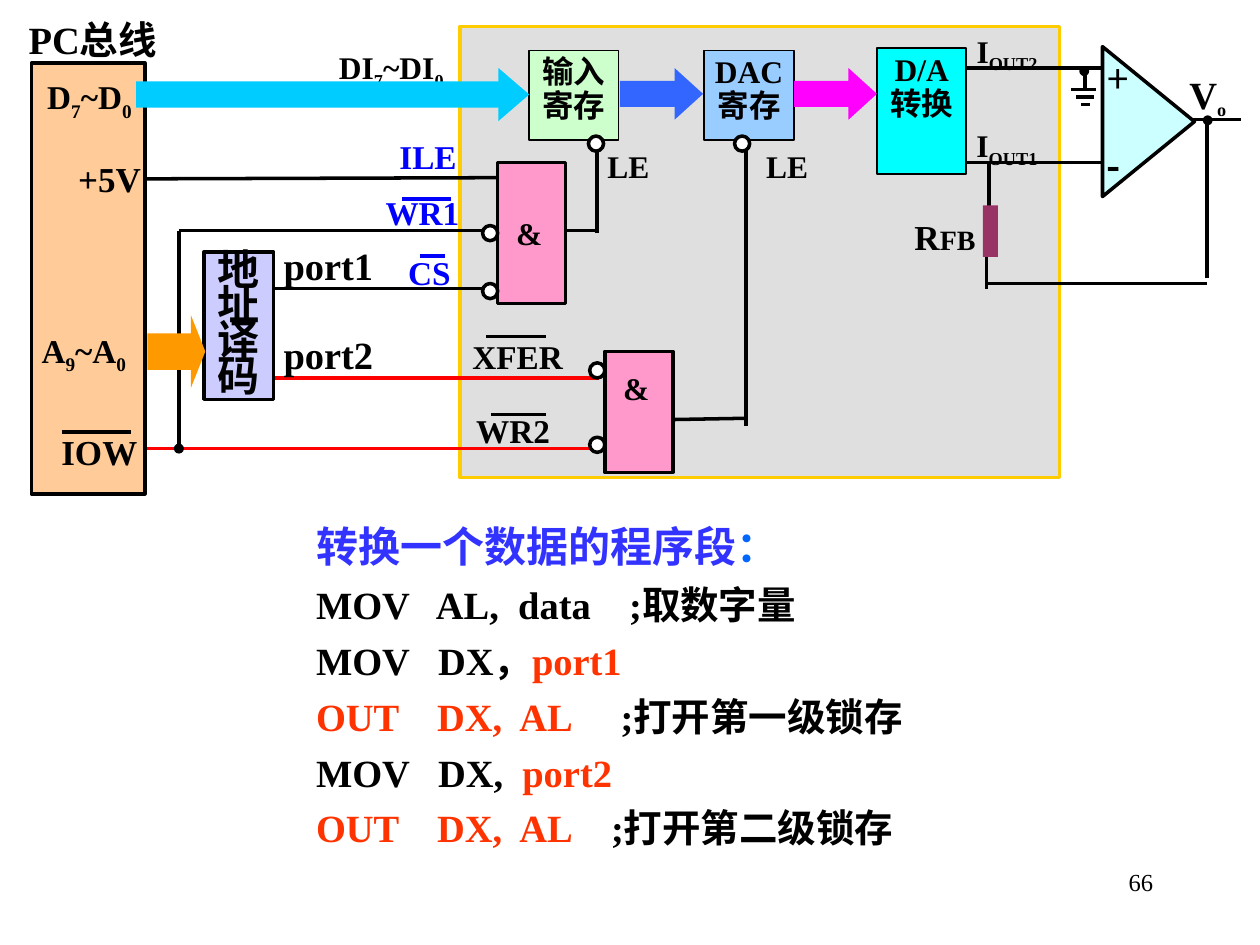
from dataclasses import dataclass
from typing import NamedTuple

from lxml.etree import SubElement
from pptx import Presentation
from pptx.dml.color import RGBColor as RGB
from pptx.enum.shapes import MSO_CONNECTOR as Link, MSO_SHAPE as Kind
from pptx.enum.text import MSO_ANCHOR as Anchor, PP_ALIGN as Align
from pptx.oxml.ns import qn
from pptx.util import Inches, Pt


@dataclass(frozen=True)
class Theme:
    font: str = "Times New Roman"
    cjk: str = "Noto Sans CJK SC"
    ink: str = "000000"
    white: str = "FFFFFF"
    blue: str = "0000FF"
    red: str = "FF0000"
    code: str = "FF3300"
    head: str = "3333FF"
    colon: str = "0066FF"
    pink: str = "FF99CC"
    tiny: int = 14
    small: int = 18
    mid: int = 19
    pin: int = 20
    big: int = 22
    top: int = 24


T = Theme()


class Box(NamedTuple):
    x: float
    y: float
    w: float
    h: float
    fill: str
    edge: float = 2
    text: str = ""
    size: int = T.small
    gap: float = 0.9
    pad: tuple = (0, 0.05, 0, 0.05)


class Arrow(NamedTuple):
    x: float
    y: float
    w: float
    h: float
    fill: str
    head: float


class Wire(NamedTuple):
    x1: float
    y1: float
    x2: float
    y2: float
    color: str = T.ink


class Label(NamedTuple):
    text: str
    x: float
    y: float
    w: float
    h: float
    size: int = T.small
    align: Align = Align.JUSTIFY
    color: str = T.ink
    gap: float = 1
    low: int = 0
    drop: bool = True
    font: str = T.font
    bold: bool = True
    pad: tuple = (0, 0, 0, 0)


UNDER = [Label("I_OUT2", 7.75, 0.25, 0.95, 0.29),
         Label("I_OUT1", 7.75, 1, 0.84, 0.29),
         Label("DI_7_~DI_0", 2.69, 0.38, 1.22, 0.33)]
WIRES = [
    Wire(9.42, 0.95, 9.85, 0.95), Wire(9.58, 2.21, 9.58, 0.96),
    Wire(7.83, 2.25, 9.58, 2.25), Wire(7.83, 2.04, 7.83, 2.29),
    Wire(7.85, 1.29, 7.85, 1.66), Wire(7.67, 0.54, 8.75, 0.54),
    Wire(7.67, 1.29, 8.75, 1.29), Wire(4.74, 1.13, 4.74, 1.85),
    Wire(4.46, 1.83, 4.75, 1.83), Wire(1.42, 1.83, 3.92, 1.83),
    Wire(2.17, 2.29, 3.95, 2.29), Wire(1.08, 1.42, 4, 1.41),
    Wire(1.17, 3.56, 4.7, 3.56, T.red), Wire(2.17, 3, 4.75, 3, T.red),
    Wire(5.92, 1.13, 5.92, 3.38), Wire(5.33, 3.33, 5.92, 3.32),
    Wire(1.42, 1.83, 1.42, 3.58), Wire(8.61, 0.57, 8.61, 0.71),
    Wire(8.5, 0.71, 8.7, 0.71), Wire(8.54, 0.77, 8.68, 0.77),
    Wire(8.58, 0.83, 8.65, 0.83)]
BARS = [Wire(3.33, 2.03, 3.53, 2.03, T.blue),
        Wire(3.19, 1.58, 3.58, 1.58, T.blue),
        Wire(3.9, 3.29, 4.33, 3.29), Wire(3.86, 2.67, 4.33, 2.67),
        Wire(0.49, 3.43, 1.04, 3.43)]
BOXES = [
    Box(0.25, 0.5, 0.9, 3.42, "FFCC99"), Box(3.95, 1.29, 0.54, 1.12, T.pink),
    Box(4.8, 2.79, 0.54, 0.96, T.pink), Box(7.8, 1.63, 0.12, 0.41, "993366", 0),
    Box(4.2, 0.4, 0.71, 0.71, "CCFFCC", 1, "输入\n寄存"),
    Box(5.59, 0.4, 0.71, 0.71, "99CCFF", 1, "DAC\n寄存"),
    Box(6.96, 0.38, 0.71, 1, "00FFFF", 1, "D/A\n转换"),
    Box(1.62, 2, 0.55, 1.17, "CCCCFF", 2, "地址\n译码", T.top, 0.7, (0, 0.04, 0, 0))]
ARROWS = [Arrow(1.08, 0.54, 3.12, 0.42, "00CCFF", 0.58),
          Arrow(4.92, 0.54, 0.66, 0.41, "3366FF", 0.55),
          Arrow(6.3, 0.54, 0.66, 0.41, "FF00FF", 0.55),
          Arrow(1.17, 2.5, 0.46, 0.58, "FF9900", 0.25)]
RINGS = [(3.83, 1.79), (3.83, 2.25), (4.68, 3.47), (4.68, 2.88),
         (4.67, 1.08), (5.83, 1.08)]
DOTS = [(9.56, 0.93, 0.05, 2), (8.58, 0.54, 0.05, 2), (1.38, 3.52, 0.08, 0)]
MIDDLE = Align.CENTER
LABELS = [
    Label("LE", 4.82, 1.17, 0.65, 0.26), Label("LE", 6.08, 1.17, 0.71, 0.24),
    Label("CS", 3.24, 2, 0.43, 0.3, T.mid, color=T.blue),
    Label("WR1", 3.06, 1.53, 0.69, 0.3, T.mid, color=T.blue),
    Label("ILE", 3.17, 1.08, 0.58, 0.33, T.mid, color=T.blue),
    Label("&", 3.97, 1.52, 0.46, 0.48, align=MIDDLE, gap=1.6),
    Label("&", 4.82, 2.75, 0.46, 0.48, align=MIDDLE, gap=1.6),
    Label("V_o", 9.44, 0.56, 0.39, 0.32, T.big, low=T.small),
    Label("D_7_~D_0", 0.25, 0.63, 0.92, 0.25, T.mid, MIDDLE, gap=0.7,
          pad=(0, 0.04, 0, 0)),
    Label("A_9_~A_0", 0.17, 2.62, 0.99, 0.38, T.mid, MIDDLE),
    Label("+5V", 0.62, 1.25, 0.63, 0.41, T.pin),
    Label("IOW", 0.38, 3.42, 0.71, 0.4, T.pin, Align.RIGHT),
    Label("PC总线", 0.13, 0.13, 1.21, 0.46, T.big, MIDDLE),
    Label("port1", 2.25, 1.92, 0.92, 0.46, T.big),
    Label("port2", 2.25, 2.63, 0.92, 0.46, T.big),
    Label("WR2", 3.78, 3.26, 0.64, 0.25, T.mid),
    Label("XFER", 3.75, 2.67, 0.83, 0.2, T.mid),
    Label("R_FB", 7.21, 1.71, 0.58, 0.33, T.pin, MIDDLE, low=16, drop=False),
    Label("-", 8.78, 1.13, 0.23, 0.32, T.big, font=T.cjk),
    Label("+", 8.79, 0.44, 0.23, 0.32, T.big, font=T.cjk, bold=False),
    Label("66", 7.17, 6.83, 2.08, 0.5, T.tiny, Align.RIGHT, bold=False,
          pad=(0.1, 0.05, 0.1, 0.05))]
CODE = [
    [("转换一个数据的程序段", T.head), ("：", T.colon)],
    [("MOV   AL,  data    ;取数字量", T.ink)],
    [("MOV   DX，", T.ink), ("port1", T.code)],
    [("OUT    DX,  AL", T.code), ("     ;打开第一级锁存", T.ink)],
    [("MOV   DX,  ", T.ink), ("port2", T.code)],
    [("OUT    DX,  AL", T.code), ("    ;打开第二级锁存", T.ink)]]


def style(run, size: int, color: str = T.ink, font: str = T.font, bold: bool = True):
    face = run.font
    face.size, face.bold, face.name = Pt(size), bold, font
    face.color.rgb = RGB.from_string(color)
    SubElement(run._r.get_or_add_rPr(), qn("a:ea")).set("typeface", T.cjk)


def frame(shape, pad: tuple, wrap: bool = True):
    body = shape.text_frame
    body.word_wrap, body.vertical_anchor = wrap, Anchor.TOP
    (body.margin_left, body.margin_top,
     body.margin_right, body.margin_bottom) = map(Inches, pad)
    return body


def solid(slide, kind: Kind, place: tuple, fill: str, edge: float = 0,
          color: str = T.ink):
    shape = slide.shapes.add_shape(kind, *map(Inches, place))
    shape.shadow.inherit = False
    shape.fill.solid()
    shape.fill.fore_color.rgb = RGB.from_string(fill)
    if edge:
        shape.line.color.rgb = RGB.from_string(color)
        shape.line.width = Pt(edge)
    else:
        shape.line.fill.background()
    return shape


def draw_box(slide, box: Box):
    shape = solid(slide, Kind.RECTANGLE, box[:4], box.fill, box.edge)
    if box.text:
        body = frame(shape, box.pad)
        body.text = box.text
        for par in body.paragraphs:
            par.alignment, par.line_spacing = MIDDLE, box.gap
            style(par.runs[0], box.size)


def draw_arrow(slide, arrow: Arrow):
    shape = solid(slide, Kind.RIGHT_ARROW, arrow[:4], arrow.fill)
    shape.adjustments[0], shape.adjustments[1] = 0.5, arrow.head


def draw_wire(slide, wire: Wire):
    line = slide.shapes.add_connector(Link.STRAIGHT, *map(Inches, wire[:4]))
    line.line.color.rgb = RGB.from_string(wire.color)
    line.line.width = Pt(2)
    SubElement(line._element.spPr, qn("a:effectLst"))


def draw_label(slide, label: Label):
    """Underscores switch between plain and low text."""
    body = frame(slide.shapes.add_textbox(*map(Inches, label[1:5])), label.pad)
    par = body.paragraphs[0]
    par.alignment, par.line_spacing = label.align, label.gap
    for i, part in enumerate(label.text.split("_")):
        run = par.add_run()
        run.text = part
        low = i % 2
        style(run, label.low if low and label.low else label.size,
              label.color, label.font, label.bold)
        if low and label.drop:
            run.font._element.set("baseline", "-25000")


def draw_code(slide):
    shape = slide.shapes.add_textbox(*map(Inches, (2.41, 4.08, 4.95, 2.72)))
    body = frame(shape, (0.1, 0.05, 0.1, 0.05), False)
    for i, row in enumerate(CODE):
        par = body.add_paragraph() if i else body.paragraphs[0]
        par.space_after = Pt(5.5 if i else 6)
        for text, color in row:
            run = par.add_run()
            run.text = text
            style(run, T.big if i else T.top, color)


def main():
    deck = Presentation()
    deck.slide_width, deck.slide_height = Inches(10), Inches(7.5)
    slide = deck.slides.add_slide(deck.slide_layouts[6])
    panel = solid(slide, Kind.RECTANGLE, (3.65, 0.21, 4.76, 3.58), "C0C0C0", 2, "FFCC00")
    tint = panel.fill._xPr.find(qn("a:solidFill"))[0]
    SubElement(tint, qn("a:alpha")).set("val", "50000")
    for draw, items in ((draw_label, UNDER), (draw_wire, WIRES), (draw_box, BOXES),
                        (draw_arrow, ARROWS), (draw_wire, BARS)):
        for item in items:
            draw(slide, item)
    amp = solid(slide, Kind.ISOSCELES_TRIANGLE, (8.52, 0.6, 1.19, 0.73), "CCFFFF", 2)
    amp.rotation = 90
    for x, y in RINGS:
        solid(slide, Kind.OVAL, (x, y, 0.12, 0.12), T.white, 2)
    for x, y, size, edge in DOTS:
        solid(slide, Kind.OVAL, (x, y, size, size), T.ink, edge)
    for label in LABELS:
        draw_label(slide, label)
    draw_code(slide)
    deck.save("out.pptx")


if __name__ == "__main__":
    main()
